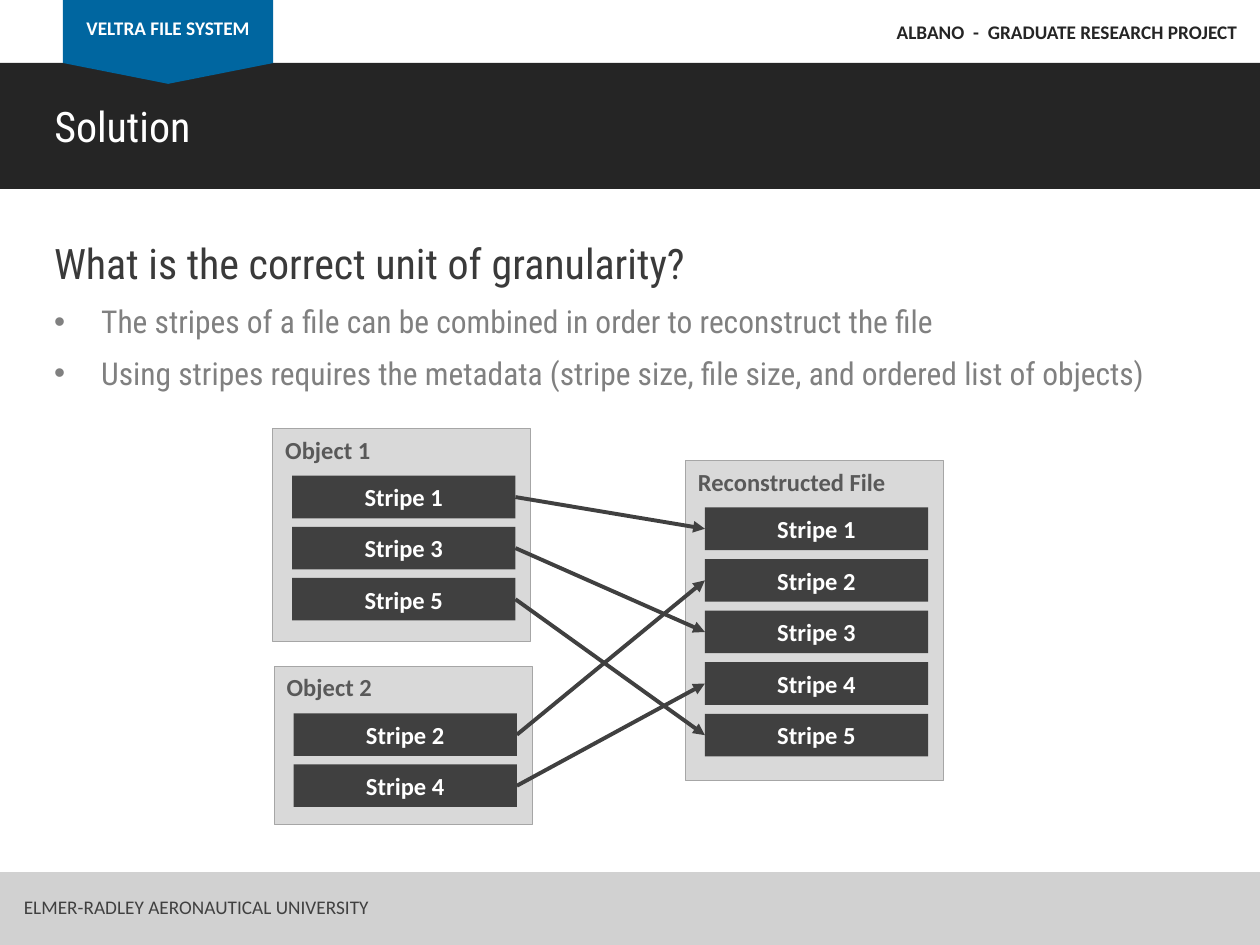
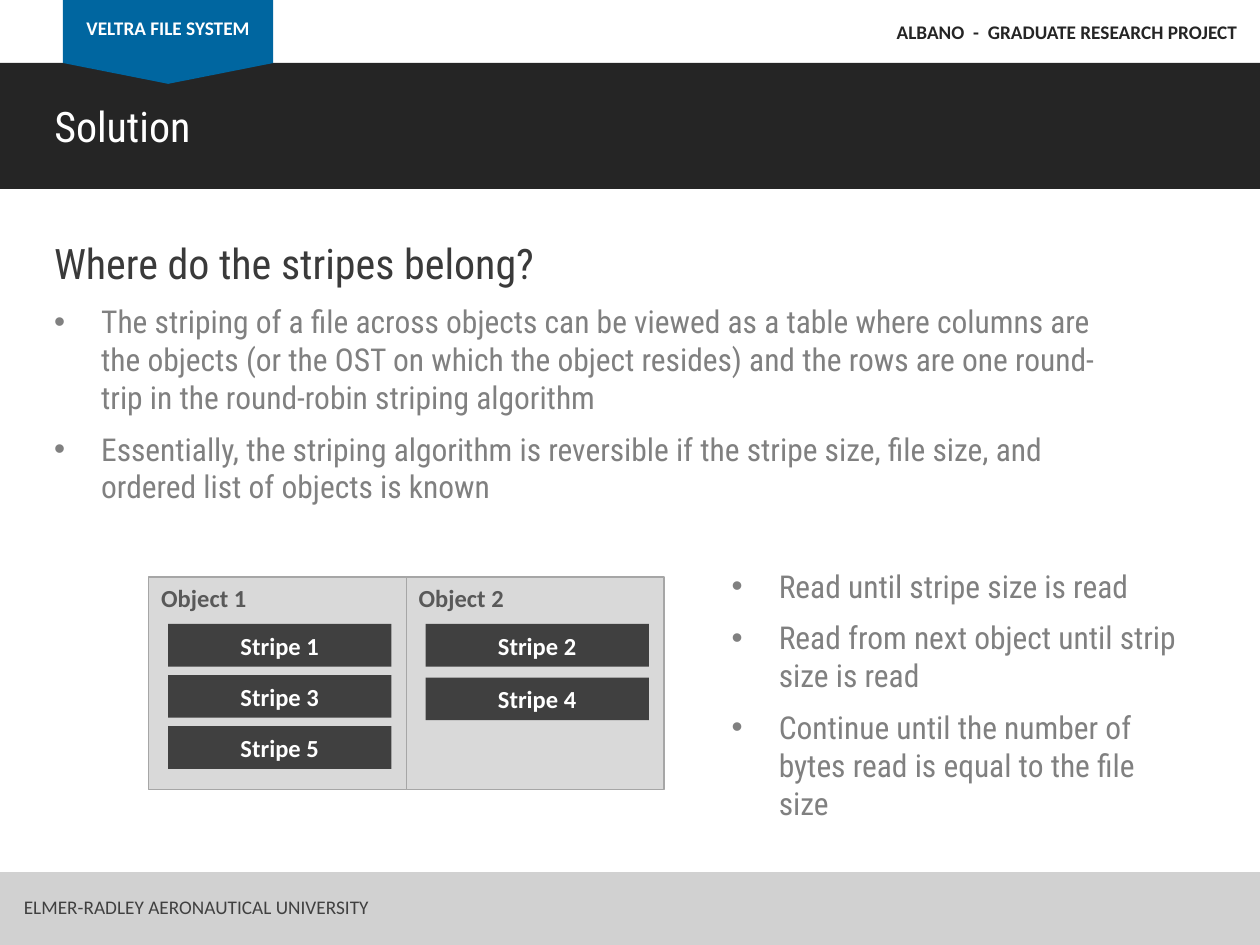
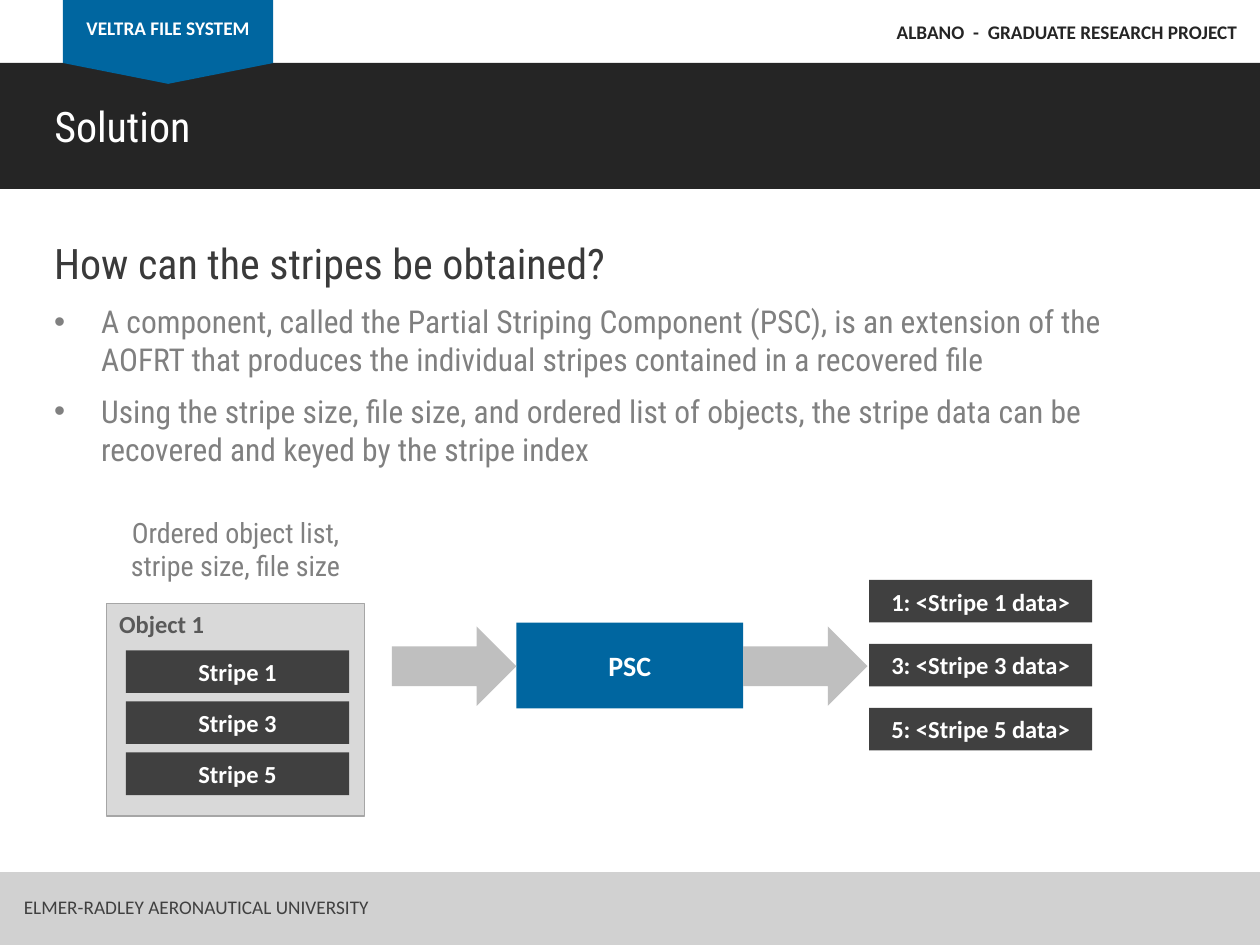
from dataclasses import dataclass

from lxml.etree import SubElement
from pptx import Presentation
from pptx.dml.color import RGBColor
from pptx.enum.shapes import MSO_CONNECTOR, MSO_SHAPE
from pptx.enum.text import MSO_ANCHOR, MSO_AUTO_SIZE, PP_ALIGN
from pptx.oxml.ns import qn
from pptx.util import Cm, Pt


@dataclass(frozen=True)
class Theme:
    heading_font: str = "Roboto Condensed"
    label_font: str = "Calibri"
    white: str = "FFFFFF"
    ink: str = "252525"
    question: str = "3A3A3A"
    dark: str = "404040"
    label: str = "595959"
    body: str = "808080"
    edge: str = "A6A6A6"
    arrow: str = "BFBFBF"
    footer: str = "D1D1D1"
    panel: str = "D9D9D9"
    accent: str = "0066A0"
    heading_size: int = 24
    body_size: int = 18
    caption_size: int = 16
    label_size: int = 14
    band_size: int = 11


theme = Theme()


def write(box, text, size, colour, font=theme.label_font, bold=False,
          align=PP_ALIGN.LEFT, anchor=MSO_ANCHOR.TOP, bullets=False):
    frame = box.text_frame
    frame.text = text
    frame.word_wrap = True
    frame.auto_size = MSO_AUTO_SIZE.NONE
    frame.vertical_anchor = anchor
    for para in frame.paragraphs:
        para.alignment = align
        if bullets:
            para.space_after = Pt(8)
            properties = para._p.get_or_add_pPr()
            properties.set("marL", str(Cm(0.95)))
            properties.set("indent", str(-Cm(0.95)))
            SubElement(properties, qn("a:buFont")).set("typeface", "Arial")
            SubElement(properties, qn("a:buChar")).set("char", "•")
        for span in para.runs:
            span.font.name = font
            span.font.size = Pt(size)
            span.font.bold = bold
            span.font.color.rgb = RGBColor.from_string(colour)


def add_block(page, place, fill, kind=MSO_SHAPE.RECTANGLE, edge=None):
    block = page.shapes.add_shape(kind, *map(Cm, place))
    block.shadow.inherit = False
    block.fill.solid()
    block.fill.fore_color.rgb = RGBColor.from_string(fill)
    if edge:
        block.line.color.rgb = RGBColor.from_string(edge)
        block.line.width = Pt(0.75)
    else:
        block.line.fill.background()
    return block


stripe_width, stripe_height = 4.5, 0.86
panel_width = 5.2
stripe_inset, stripe_drop = 0.39, 0.95

slides = [
    {
        "question": "What is the correct unit of granularity?",
        "lists": [((0.84, 5.97, 22.5, 2.08),
                   "The stripes of a file can be combined in order to reconstruct the file\n"
                   "Using stripes requires the metadata (stripe size, file size, and ordered list of objects)")],
        "panels": [("Object 1", 5.5, 8.64, 4.29, 1.03, (1, 3, 5)),
                   ("Object 2", 5.53, 13.43, 3.2, 1.03, (2, 4)),
                   ("Reconstructed File", 13.82, 9.28, 6.46, 1.04, (1, 2, 3, 4, 5))],
    },
    {
        "question": "Where do the stripes belong?",
        "lists": [((0.84, 5.97, 22, 4.4),
                   "The striping of a file across objects can be viewed as a table where columns are "
                   "the objects (or the OST on which the object resides) and the rows are one "
                   "round-trip in the round-robin striping algorithm\n"
                   "Essentially, the striping algorithm is reversible if the stripe size, file size, "
                   "and ordered list of objects is known"),
                  ((14.5, 11.3, 9.7, 4.67),
                   "Read until stripe size is read\n"
                   "Read from next object until strip size is read\n"
                   "Continue until the number of bytes read is equal to the file size")],
        "panels": [("Object 1", 3, 11.63, 4.29, 1.03, (1, 3, 5)),
                   ("Object 2", 8.19, 11.63, 4.29, 1.08, (2, 4))],
    },
    {
        "question": "How can the stripes be obtained?",
        "lists": [((0.84, 5.97, 22, 3.6),
                   "A component, called the Partial Striping Component (PSC), is an extension of the "
                   "AOFRT that produces the individual stripes contained in a recovered file\n"
                   "Using the stripe size, file size, and ordered list of objects, the stripe data can be "
                   "recovered and keyed by the stripe index")],
        "panels": [("Object 1", 2.15, 12.16, 4.29, 1.03, (1, 3, 5))],
    },
]

deck = Presentation()
deck.slide_width, deck.slide_height = Cm(25.4), Cm(19.05)
pages = []
stripes = {}

for number, content in enumerate(slides):
    page = deck.slides.add_slide(deck.slide_layouts[5])
    pages.append(page)

    add_block(page, (0, 1.27, 25.4, 2.54), theme.ink)
    add_block(page, (1.27, 0, 4.24, 1.27), theme.accent)
    tab_tip = add_block(page, (1.27, 1.27, 4.24, 0.42), theme.accent, MSO_SHAPE.ISOSCELES_TRIANGLE)
    tab_tip.rotation = 180
    add_block(page, (0, 17.58, 25.4, 1.47), theme.footer)

    title = page.shapes.title
    page.shapes._spTree.append(title._element)
    title.left, title.top, title.width, title.height = map(Cm, (0.84, 1.9, 11.86, 1.27))
    write(title, "Solution", theme.heading_size, theme.white, theme.heading_font)

    for text, place, colour, bold, align in (
        ("VELTRA FILE SYSTEM", (1.27, 0.2, 4.24, 0.74), theme.white, True, PP_ALIGN.CENTER),
        ("ALBANO  -  GRADUATE RESEARCH PROJECT", (17.2, 0.28, 8, 0.74), theme.ink, True, PP_ALIGN.RIGHT),
        ("ELMER-RADLEY AERONAUTICAL UNIVERSITY", (0.23, 17.93, 8.5, 0.74), theme.dark, False, PP_ALIGN.LEFT),
    ):
        box = page.shapes.add_textbox(*map(Cm, place))
        write(box, text, theme.band_size, colour, bold=bold, align=align)

    question = page.shapes.add_textbox(Cm(0.84), Cm(4.67), Cm(16.36), Cm(1.27))
    write(question, content["question"], theme.heading_size, theme.question, theme.heading_font)

    for place, text in content["lists"]:
        box = page.shapes.add_textbox(*map(Cm, place))
        write(box, text, theme.body_size, theme.body, theme.heading_font, bullets=True)

    for name, left, top, height, pitch, indexes in content["panels"]:
        panel = add_block(page, (left, top, panel_width, height), theme.panel, edge=theme.edge)
        write(panel, name, theme.label_size, theme.label, bold=True)
        for row, index in enumerate(indexes):
            place = (left + stripe_inset, top + stripe_drop + row * pitch, stripe_width, stripe_height)
            stripe = add_block(page, place, theme.dark)
            write(stripe, f"Stripe {index}", theme.label_size, theme.white, bold=True,
                  align=PP_ALIGN.CENTER, anchor=MSO_ANCHOR.MIDDLE)
            stripes[number, name, index] = stripe

granularity_page, _, component_page = pages

for name, index in (("Object 1", 1), ("Object 1", 3), ("Object 1", 5), ("Object 2", 2), ("Object 2", 4)):
    link = granularity_page.shapes.add_connector(MSO_CONNECTOR.STRAIGHT, 0, 0, 0, 0)
    link.begin_connect(stripes[0, name, index], 3)
    link.end_connect(stripes[0, "Reconstructed File", index], 1)
    link.line.color.rgb = RGBColor.from_string(theme.dark)
    link.line.width = Pt(2.25)
    SubElement(link.line._get_or_add_ln(), qn("a:tailEnd")).set("type", "triangle")
    SubElement(link._element.spPr, qn("a:effectLst"))

caption = component_page.shapes.add_textbox(Cm(2.15), Cm(10.26), Cm(panel_width), Cm(1.63))
write(caption, "Ordered object list, stripe size, file size", theme.caption_size, theme.body,
      theme.heading_font, align=PP_ALIGN.CENTER)

component = add_block(component_page, (10.41, 12.55, 4.57, 1.73), theme.accent)
write(component, "PSC", theme.caption_size, theme.white, bold=True,
      align=PP_ALIGN.CENTER, anchor=MSO_ANCHOR.MIDDLE)

for row, index in enumerate((1, 3, 5)):
    result = add_block(component_page, (17.52, 11.69 + row * 1.29, stripe_width, stripe_height), theme.dark)
    write(result, f"{index}: <Stripe {index} data>", theme.label_size, theme.white, bold=True,
          align=PP_ALIGN.CENTER, anchor=MSO_ANCHOR.MIDDLE)

for left in (7.9, 14.98):
    add_block(component_page, (left, 12.63, 2.51, 1.6), theme.arrow, MSO_SHAPE.RIGHT_ARROW)

deck.save("out.pptx")
